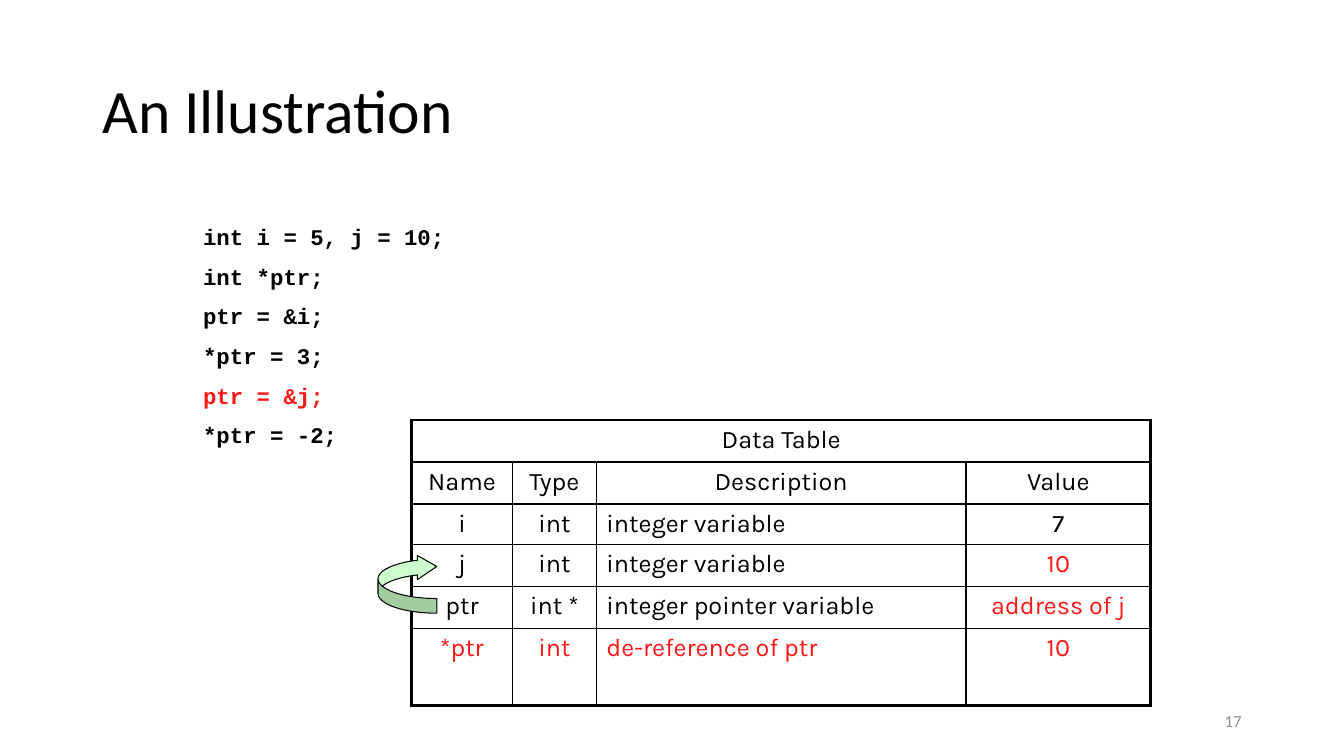
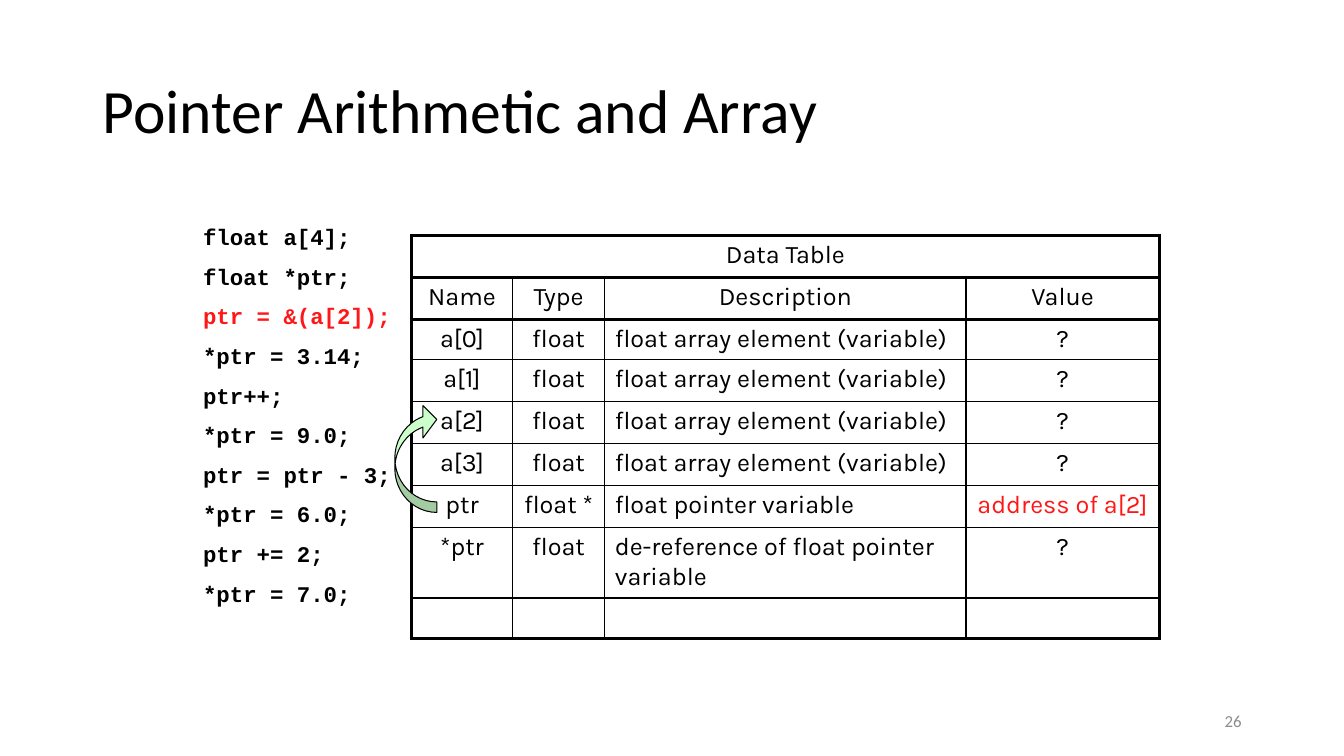
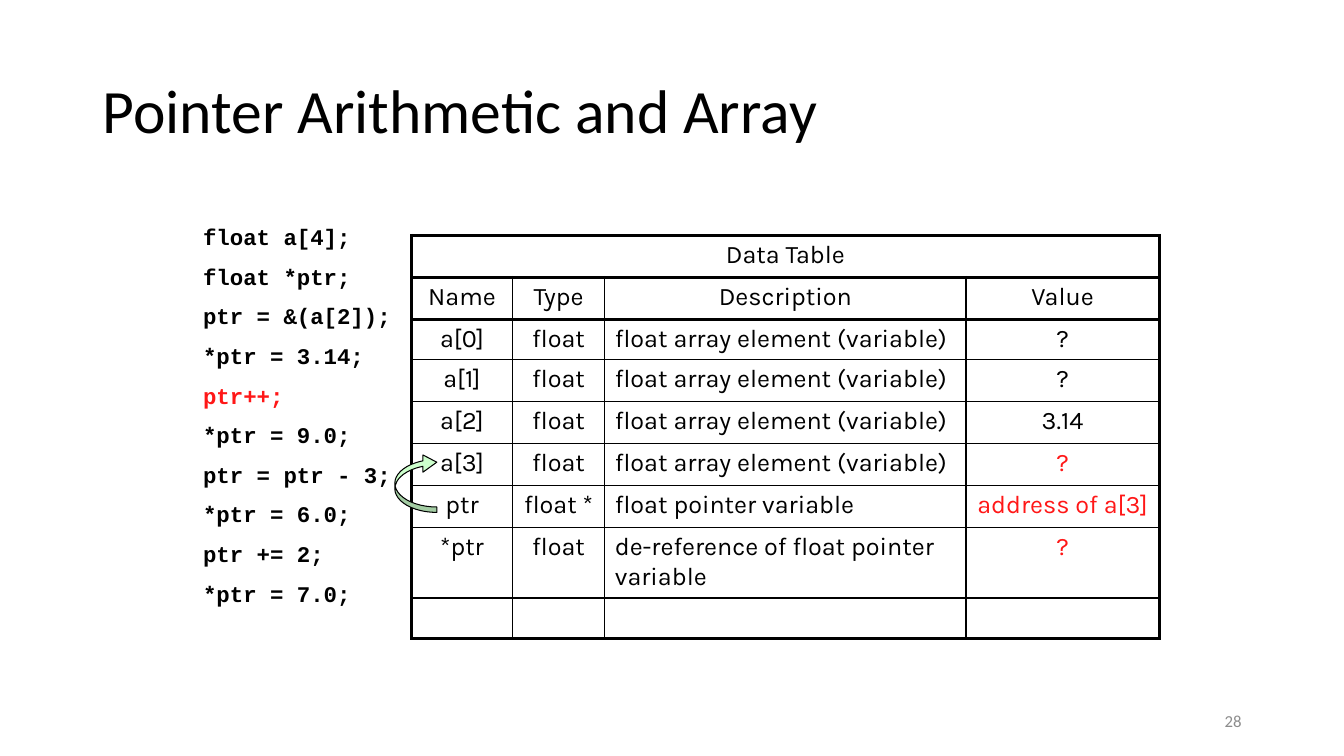
from lxml import etree
from pptx import Presentation
from pptx import util as u
from pptx.dml.color import RGBColor
from pptx.enum import shapes, text
from pptx.oxml import ns

COLOURS = {
    "text": "000000",
    "highlight": "FF1717",
    "number": "8C8C8C",
    "arrow": "CCFFCC",
    "line": "000000",
}
THIN, THICK = 1, 2.25
HEADINGS = ["Name", "Type", "Description", "Value"]
DESCRIPTION = HEADINGS.index("Description")
ARRAY_CODE = [
    "float a[4];", "float *ptr;", "ptr = &(a[2]);", "*ptr = 3.14;", "ptr++;",
    "*ptr = 9.0;", "ptr = ptr - 3;", "*ptr = 6.0;", "ptr += 2;", "*ptr = 7.0;",
]


def colour(name):
    return RGBColor.from_string(COLOURS[name])


def points(*values):
    return [u.Pt(value) for value in values]


def add_border(cell, side, width):
    """Draw one side (L, R, T or B) of a table cell; call before filling it."""
    properties = cell._tc.get_or_add_tcPr()
    line = etree.SubElement(properties, ns.qn("a:ln" + side), w=str(u.Pt(width)))
    fill = etree.SubElement(line, ns.qn("a:solidFill"))
    etree.SubElement(fill, ns.qn("a:srgbClr"), val=COLOURS["line"])


class Deck:
    def __init__(self):
        self.presentation = Presentation()
        self.presentation.slide_width, self.presentation.slide_height = points(960, 540)
        self.slide = None

    def add_run(self, paragraph, words, font, size, colour_name="text", bold=False):
        run = paragraph.add_run()
        run.text = words
        run.font.name = font
        run.font.size = u.Pt(size)
        run.font.bold = bold
        run.font.color.rgb = colour(colour_name)

    def add_slide(self, title, number):
        layout = self.presentation.slide_layouts[5]
        self.slide = self.presentation.slides.add_slide(layout)
        shape = self.slide.shapes.title
        shape.left, shape.top, shape.width, shape.height = points(66, 28.8, 828, 104.4)
        shape.text_frame.vertical_anchor = text.MSO_ANCHOR.MIDDLE
        paragraph = shape.text_frame.paragraphs[0]
        paragraph.alignment = text.PP_ALIGN.LEFT
        paragraph.line_spacing = 0.9
        self.add_run(paragraph, title, "Calibri", 44)
        self.add_number(number)

    def add_text_box(self, *place):
        frame = self.slide.shapes.add_textbox(*points(*place)).text_frame
        frame.word_wrap = True
        return frame

    def add_number(self, number):
        frame = self.add_text_box(678, 500.4, 216, 28.8)
        frame.vertical_anchor = text.MSO_ANCHOR.MIDDLE
        paragraph = frame.paragraphs[0]
        paragraph.alignment = text.PP_ALIGN.RIGHT
        self.add_run(paragraph, str(number), "Calibri", 12, "number")

    def add_code(self, lines, current):
        """List the code with the current line highlighted."""
        frame = self.add_text_box(138, 156, 672, 27.2 * len(lines) + 8)
        frame.auto_size = text.MSO_AUTO_SIZE.SHAPE_TO_FIT_TEXT
        for index, line in enumerate(lines):
            paragraph = frame.add_paragraph() if index else frame.paragraphs[0]
            if index:
                paragraph.space_before = u.Pt(9.1)
            name = "highlight" if line == current else "text"
            self.add_run(paragraph, line, "Courier New", 16, name, bold=True)

    def add_data_table(self, top, widths, heights, variables, highlighted):
        """Show the variables; highlighted holds (variable, heading) pairs."""
        rows = [["Data Table", "", "", ""], HEADINGS] + variables
        place = points(294, top, sum(widths), sum(heights))
        table = self.slide.shapes.add_table(len(rows), len(HEADINGS), *place).table
        table.first_row = table.horz_banding = False
        for column, width in zip(table.columns, widths):
            column.width = u.Pt(width)
        for row, height in zip(table.rows, heights):
            row.height = u.Pt(height)
        table.cell(0, 0).merge(table.cell(0, len(HEADINGS) - 1))

        last_row, last_column = len(rows) - 1, len(HEADINGS) - 1
        for row, values in enumerate(rows):
            for column, value in enumerate(values):
                cell = table.cell(row, column)
                heavy = {
                    "L": row == 0 or column == 0,
                    "R": row == 0 or column == last_column,
                    "T": row <= 2,
                    "B": row <= 1 or row == last_row,
                }
                for side, is_heavy in heavy.items():
                    add_border(cell, side, THICK if is_heavy else THIN)
                cell.fill.background()
                if not value:
                    continue
                paragraph = cell.text_frame.paragraphs[0]
                is_left = row > 1 and column == DESCRIPTION
                paragraph.alignment = text.PP_ALIGN.LEFT if is_left else text.PP_ALIGN.CENTER
                is_red = (values[0], HEADINGS[column]) in highlighted
                self.add_run(paragraph, value, "Karla", 18, "highlight" if is_red else "text")

    def add_pointer_arrow(self, place, adjustments):
        shape = self.slide.shapes.add_shape(
            shapes.MSO_SHAPE.CURVED_LEFT_ARROW, *points(*place))
        shape.rotation = 180
        for index, value in enumerate(adjustments):
            shape.adjustments[index] = value
        shape.shadow.inherit = False
        shape.fill.solid()
        shape.fill.fore_color.rgb = colour("arrow")
        shape.line.color.rgb = colour("line")
        shape.line.width = u.Pt(0.75)

    def add_array_slide(self, number, current, values, target, highlighted):
        """Show the array and the pointer to a[target] after the current line."""
        self.add_slide("Pointer Arithmetic and Array", number)
        self.add_code(ARRAY_CODE, current)
        variables = [
            [f"a[{index}]", "float", "float array element (variable)", value]
            for index, value in enumerate(values)
        ]
        variables += [
            ["ptr", "float *", "float pointer variable", f"address of a[{target}]"],
            ["*ptr", "float", "de-reference of float pointer variable", "?"],
            [""] * len(HEADINGS),
        ]
        heights = [30, 30, 28.8, 30, 30, 30, 30, 50.4, 28.8]
        self.add_data_table(168, [72, 66, 258, 138], heights, variables, highlighted)


def main():
    deck = Deck()

    deck.add_slide("An Illustration", 17)
    deck.add_code(
        ["int i = 5, j = 10;", "int *ptr;", "ptr = &i;", "*ptr = 3;", "ptr = &j;", "*ptr = -2;"],
        "ptr = &j;")
    variables = [
        ["i", "int", "integer variable", "7"],
        ["j", "int", "integer variable", "10"],
        ["ptr", "int *", "integer pointer variable", "address of j"],
        ["*ptr", "int", "de-reference of ptr", "10"],
    ]
    highlighted = {("j", "Value"), ("ptr", "Value")}
    highlighted |= {("*ptr", heading) for heading in HEADINGS}
    deck.add_data_table(
        300, [72, 60, 264, 132], [30, 30, 28.8, 30, 30, 55.2], variables, highlighted)
    deck.add_pointer_arrow((270, 396, 42, 42), (0.25, 0.41, 0.33))

    deck.add_array_slide(26, "ptr = &(a[2]);", ["?", "?", "?", "?"], 2, {("ptr", "Value")})
    deck.add_pointer_arrow((282, 288, 30, 78), (0.25, 0.77, 0.33))

    deck.add_array_slide(
        28, "ptr++;", ["?", "?", "3.14", "?"], 3,
        {("a[3]", "Value"), ("ptr", "Value"), ("*ptr", "Value")})
    deck.add_pointer_arrow((282, 324, 30, 42), (0.13, 0.41, 0.33))

    deck.presentation.save("out.pptx")


if __name__ == "__main__":
    main()
